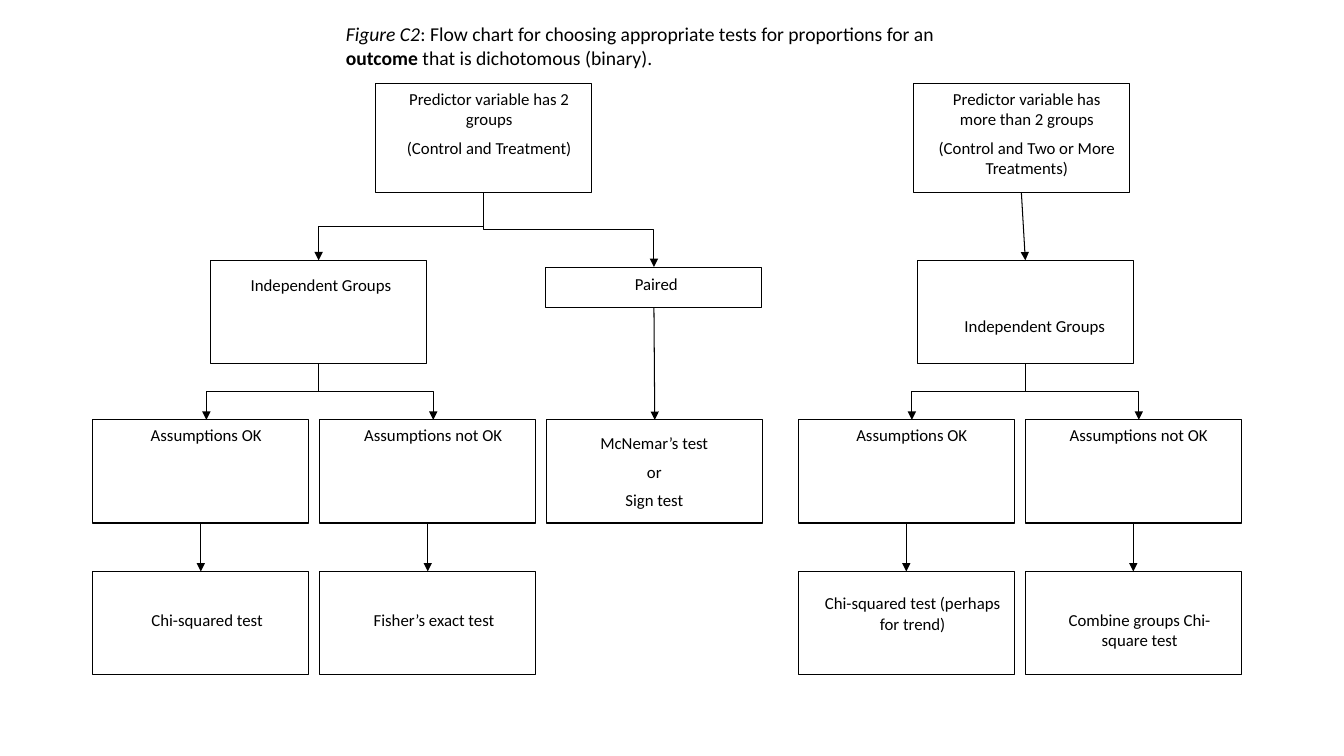
"""Draw a flow chart for choosing tests of proportions for a binary outcome."""
from dataclasses import dataclass

from lxml import etree
from pptx import Presentation
from pptx import util as u
from pptx.dml import color
from pptx.enum import shapes, text
from pptx.oxml import ns

WIDE, HIGH, TEXT_W = 5.44, 2.6, 5.16
TOP, MID, LOW, END = 2.11, 6.56, 10.58, 14.4
STEP = 5.72
LEFT, RIGHT = 2.34, 20.12
INK = "000000"


@dataclass
class Box:
    """A process box and the offset of its label."""
    x: float
    y: float
    words: tuple[str, ...]
    dx: float = 0.28
    dy: float = 0
    high: float = HIGH

    @property
    def mid(self) -> float:
        """Return the centre of the outline."""
        return self.x + WIDE / 2

    @property
    def aim(self) -> float:
        """Return the centre of the label."""
        return self.x + self.dx + TEXT_W / 2

    @property
    def foot(self) -> float:
        """Return the bottom edge."""
        return self.y + self.high


def hue(code: str) -> color.RGBColor:
    """Turn a hex string into a colour."""
    return color.RGBColor.from_string(code)


def write(para, words: str, size: float = 12, bold: bool = False,
          slant: bool = False, code: str = INK) -> None:
    """Add one formatted run to a paragraph."""
    run = para.add_run()
    run.text = words
    font = run.font
    font.name, font.size = "Calibri", u.Pt(size)
    font.bold, font.italic = bold, slant
    font.color.rgb = hue(code)


def stroke(line) -> None:
    """Give a line its colour and width."""
    line.color.rgb = hue(INK)
    line.width = u.Pt(0.75)


def draw_box(slide, box: Box) -> None:
    """Draw a box outline and its label."""
    rim = slide.shapes.add_shape(
        shapes.MSO_SHAPE.FLOWCHART_PROCESS,
        u.Cm(box.x), u.Cm(box.y), u.Cm(WIDE), u.Cm(box.high))
    rim.shadow.inherit = False
    rim.fill.background()
    stroke(rim.line)
    label = slide.shapes.add_textbox(
        u.Cm(box.x + box.dx), u.Cm(box.y + box.dy), u.Cm(TEXT_W), u.Cm(0.76))
    frame = label.text_frame
    frame.word_wrap = True
    frame.auto_size = text.MSO_AUTO_SIZE.SHAPE_TO_FIT_TEXT
    for i, words in enumerate(box.words):
        para = frame.add_paragraph() if i else frame.paragraphs[0]
        para.alignment = text.PP_ALIGN.CENTER
        para.space_before = u.Pt(6 if i else 0)
        write(para, words)


def draw_link(slide, start: Box, goal: Box, bent: bool = False,
              aim: bool = False) -> None:
    """Draw an arrow down from one box to another."""
    x1, y1, y2 = start.mid, start.foot, goal.y
    x2 = goal.aim if aim else goal.mid
    kind, ends, turn = shapes.MSO_CONNECTOR.STRAIGHT, (x1, y1, x2, y2), 0
    if bent:
        kind = shapes.MSO_CONNECTOR.ELBOW
        turn = 270 if x2 > x1 else 90
        cx, cy = (x1 + x2) / 2, (y1 + y2) / 2
        half, rise = (y2 - y1) / 2, abs(x2 - x1) / 2
        side = half if x2 > x1 else -half
        ends = (cx + side, cy - rise, cx - side, cy + rise)
    link = slide.shapes.add_connector(kind, *map(u.Cm, ends))
    stroke(link.line)
    props = link.element.spPr
    if turn:
        props.xfrm.set("rot", str(turn * 60000))
    etree.SubElement(props.find(ns.qn("a:ln")), ns.qn("a:tailEnd"), type="triangle")
    etree.SubElement(props, ns.qn("a:effectLst"))


def draw_title(slide) -> None:
    """Place and fill the title."""
    title = slide.shapes.title
    title.left, title.top = u.Cm(8.46), u.Cm(0.43)
    title.width, title.height = u.Cm(16.94), u.Cm(1.45)
    frame = title.text_frame
    frame.word_wrap = True
    frame.auto_size = text.MSO_AUTO_SIZE.NONE
    frame.vertical_anchor = text.MSO_ANCHOR.TOP
    para = frame.paragraphs[0]
    para.alignment = text.PP_ALIGN.LEFT
    write(para, "Figure C2", size=14, slant=True)
    write(para, ": Flow chart for choosing appropriate tests for proportions for an ", size=14)
    write(para, "outcome", size=14, bold=True)
    write(para, " that is dichotomous (binary).", size=14)


def main() -> None:
    """Build and save the slide."""
    deck = Presentation()
    deck.slide_width, deck.slide_height = u.Cm(33.87), u.Cm(19.05)
    slide = deck.slides.add_slide(deck.slide_layouts[5])
    draw_title(slide)

    two = Box(9.47, TOP, ("Predictor variable has 2 groups", "(Control and Treatment)"), high=2.75)
    more = Box(23.02, TOP, ("Predictor variable has more than 2 groups",
                            "(Control and Two or More Treatments)"), high=2.75)
    free = Box(5.31, MID, ("Independent Groups",), 0.2, 0.23)
    pair = Box(13.76, 6.73, ("Paired",), 0.2, 0.05, 1.02)
    many = Box(23.12, MID, ("Independent Groups",), 0.38, 1.27)
    sign = Box(LEFT + 2 * STEP, LOW, ("McNemar’s test", "or", "Sign test"), 0.13, 0.2)
    boxes = [two, more, free, pair, many, sign]
    links = [(two, free, True), (two, pair, True), (more, many), (pair, sign)]

    tests = [
        (free, LEFT, ("Chi-squared test", 0.84), ("Fisher’s exact test", 0.84)),
        (many, RIGHT, ("Chi-squared test (perhaps for trend)", 0.42),
         ("Combine groups Chi-square test", 0.84)),
    ]
    for head, x, *pairs in tests:
        for i, (words, dy) in enumerate(pairs):
            check = Box(x + i * STEP, LOW, (("Assumptions OK", "Assumptions not OK")[i],))
            test = Box(check.x, END, (words,), 0.3, dy)
            boxes += [check, test]
            links += [(head, check, True, True), (check, test)]

    for box in boxes:
        draw_box(slide, box)
    for link in links:
        draw_link(slide, *link)
    deck.save("out.pptx")


if __name__ == "__main__":
    main()
